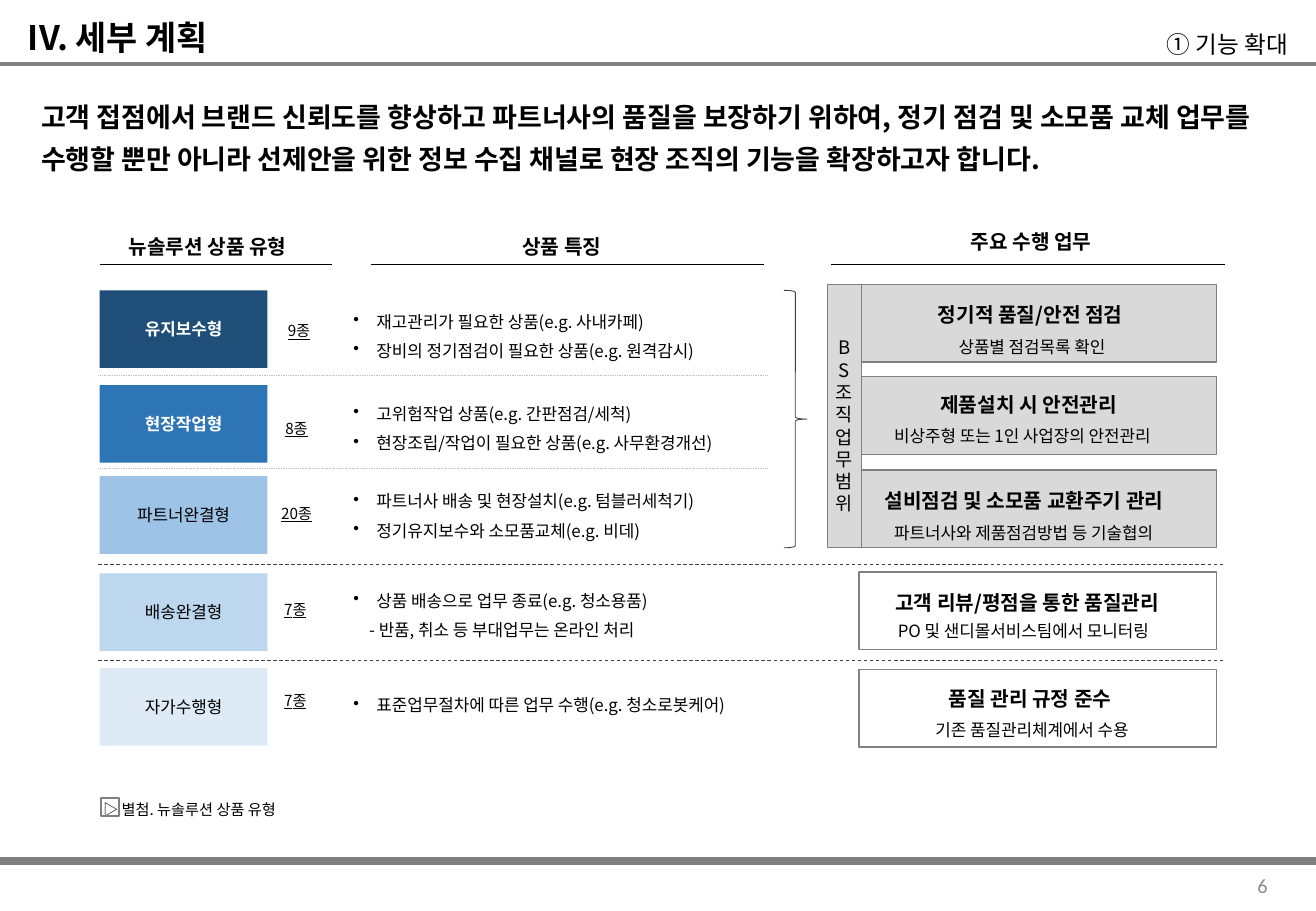
import pptx
import pptx.util
import pptx.dml.color
import pptx.enum.dml
import pptx.enum.shapes
import pptx.enum.text
import pptx.oxml.ns
import lxml.etree

SCALE = 9144
SANS = "Noto Sans CJK KR"
COLORS = {
    "black": "000000", "white": "FFFFFF", "rule": "808080", "card": "D9D9D9",
    "page": "8C8C8C", "dots": "BFBFBF", "dash": "404040",
    "navy": "1F4E79", "blue": "2E75B6", "sky": "9DC3E6", "pale": "BDD7EE", "ice": "DEEBF7",
}
ALIGN = pptx.enum.text.PP_ALIGN
ANCHOR = pptx.enum.text.MSO_ANCHOR
DASH = pptx.enum.dml.MSO_LINE
SHAPE = pptx.enum.shapes.MSO_SHAPE

PRODUCTS = [
    ("유지보수형", "navy", 239, "9종", (115, 21), 9,
     ["• 재고관리가 필요한 상품(e.g. 사내카페)", "• 장비의 정기점검이 필요한 상품(e.g. 원격감시)"]),
    ("현장작업형", "blue", 317, "8종", (113, 23), 7,
     ["• 고위험작업 상품(e.g. 간판점검/세척)", "• 현장조립/작업이 필요한 상품(e.g. 사무환경개선)"]),
    ("파트너완결형", "sky", 392, "20종", (113, 18), 4,
     ["• 파트너사 배송 및 현장설치(e.g. 텀블러세척기)", "• 정기유지보수와 소모품교체(e.g. 비데)"]),
    ("배송완결형", "pale", 472, "7종", (112, 17), 6,
     ["• 상품 배송으로 업무 종료(e.g. 청소용품)", "- 반품, 취소 등 부대업무는 온라인 처리"]),
    ("자가수행형", "ice", 550, "7종", (112, 14), 14,
     ["• 표준업무절차에 따른 업무 수행(e.g. 청소로봇케어)"]),
]
TASKS = [
    (234, "card", "정기적 품질/안전 점검", (55, 6, 202), "상품별 점검목록 확인", (72, 35, 194)),
    (310, "card", "제품설치 시 안전관리", (57, 4, 261), "비상주형 또는 1인 사업장의 안전관리", (19, 32, 259)),
    (387, "card", "설비점검 및 소모품 교환주기 관리", (11, 6, 291),
     "파트너사와 제품점검방법 등 기술협의", (19, 35, 259)),
    (471, "white", "고객 리뷰/평점을 통한 품질관리", (20, 6, 280),
     "PO 및 샌디몰서비스팀에서 모니터링", (22, 32, 259)),
    (551, "white", "품질 관리 규정 준수", (64, 5, 287), "기존 품질관리체계에서 수용", (53, 33, 247)),
]
HEADINGS = [
    ("뉴솔루션 상품 유형", (96, 184, 196, 32), (82, 273)),
    ("상품 특징", (420, 184, 211, 32), (305, 629)),
    ("주요 수행 업무", (789, 180, 211, 32), (684, 1008)),
]


def emu(*lengths):
    """Turn px lengths into EMU."""
    return [pptx.util.Emu(length * SCALE) for length in lengths]


def rgb(name):
    """Look up a named colour."""
    return pptx.dml.color.RGBColor.from_string(COLORS[name])


def add_span(para, words, size, color, bold, underline, font):
    """Append one formatted run to a paragraph."""
    span = para.add_run()
    span.text = words
    span.font.size = pptx.util.Pt(size)
    span.font.bold = bold
    span.font.underline = underline
    span.font.name = font
    span.font.color.rgb = rgb(color)
    east = lxml.etree.SubElement(span.font._element, pptx.oxml.ns.qn("a:ea"))
    east.set("typeface", font)


def fill_text(shape, lines, size, color="black", bold=False, underline=False,
              align=ALIGN.LEFT, anchor=ANCHOR.TOP, spacing=1.0, font=SANS):
    """Write lines into a shape; a leading mark sets the bullet or the indent."""
    frame = shape.text_frame
    frame.word_wrap = True
    frame.auto_size = pptx.enum.text.MSO_AUTO_SIZE.NONE
    frame.vertical_anchor = anchor
    for index, line in enumerate(lines):
        para = frame.add_paragraph() if index else frame.paragraphs[0]
        para.alignment = align
        para.line_spacing = spacing
        para.space_before = pptx.util.Pt(3 if index else 0)
        properties = para._p.get_or_add_pPr()
        if line.startswith("• "):
            line = line[2:]
            properties.set("marL", str(19 * SCALE))
            properties.set("indent", str(-19 * SCALE))
            lxml.etree.SubElement(properties, pptx.oxml.ns.qn("a:buChar")).set("char", "•")
        elif line.startswith("- "):
            properties.set("marL", str(13 * SCALE))
        for part, words in enumerate(line.split("\n")):
            if part:
                para.add_line_break()
            add_span(para, words, size, color, bold, underline, font)


def add_text(page, box, lines, size, **style):
    """Add a text box."""
    fill_text(page.shapes.add_textbox(*emu(*box)), lines, size, **style)


def add_block(page, box, fill=None, line=None, width=0.75, kind=SHAPE.RECTANGLE):
    """Add a flat preset shape."""
    shape = page.shapes.add_shape(kind, *emu(*box))
    shape.shadow.inherit = False
    if fill:
        shape.fill.solid()
        shape.fill.fore_color.rgb = rgb(fill)
    else:
        shape.fill.background()
    if line:
        shape.line.color.rgb = rgb(line)
        shape.line.width = pptx.util.Pt(width)
    else:
        shape.line.fill.background()
    return shape


def add_rule(page, left, right, top, color, width=0.5, dash=None):
    """Add a horizontal line."""
    rule = page.shapes.add_connector(
        pptx.enum.shapes.MSO_CONNECTOR.STRAIGHT, *emu(left, top, right, top))
    rule.line.color.rgb = rgb(color)
    rule.line.width = pptx.util.Pt(width)
    if dash:
        rule.line.dash_style = dash
    lxml.etree.SubElement(rule._element.spPr, pptx.oxml.ns.qn("a:effectLst"))


def add_header(page, box):
    """Place the title, the section label and the rule below them."""
    left, top, width, height = box
    title = page.shapes.title
    title.left, title.top, title.width, title.height = emu(left + 13, top + 2, 761, 47)
    fill_text(title, ["IV. 세부 계획"], 20, bold=True, spacing=1.2)
    add_text(page, (left + 725, top + 15, 345, 36), ["① 기능 확대"], 14,
             align=ALIGN.RIGHT, spacing=1.2)
    add_rule(page, left, left + width, top + height, "rule", 2.25)


def add_heading(page, box, words, span):
    """Place a column heading and its underline."""
    add_text(page, box, [words], 12, bold=True, spacing=1.2)
    add_rule(page, *span, 218, "black")


def add_product(page, box, name, color, count, count_shift, feature_shift, features):
    """Place one product type with its count and features."""
    left, top, width, height = box
    strong = color in ("navy", "blue")
    fill_text(add_block(page, box, color), [name], 10, color="white" if strong else "black",
              bold=strong, align=ALIGN.CENTER, anchor=ANCHOR.MIDDLE)
    add_text(page, (left + count_shift[0], top + count_shift[1], 98, 25), [count], 9,
             underline=True, align=ALIGN.CENTER)
    add_text(page, (left + width + 61, top + feature_shift, 364, 25 * len(features) + 3),
             features, 10, spacing=1.2)


def add_task(page, box, fill, name, name_place, detail, detail_place):
    """Place one task card with its name and detail."""
    left, top, width, height = box
    add_block(page, box, fill, "rule")
    for words, (shift, drop, wide), size, tall in (
            (name, name_place, 12, 32), (detail, detail_place, 10, 28)):
        add_text(page, (left + shift, top + drop, wide, tall), [words], size,
                 bold=size == 12, spacing=1.2)


def add_scope(page, box):
    """Place the brace and the upright bar naming the scope of work."""
    left, top, width, height = box
    add_block(page, (left, top + 5, 19, height - 5), line="dash", width=0.5,
              kind=SHAPE.RIGHT_BRACE)
    add_block(page, (left + 36, top, width - 36, height), "card", "rule")
    add_text(page, (left + 30, top + 38, 40, 177), ["B\nS조직업무범위"], 11, align=ALIGN.CENTER)


def add_footer(page, box):
    """Place the appendix mark, the bottom rule and the page number."""
    left, top, width, height = box
    add_text(page, (left + 75, top, 184, 27), ["▷ 별첨. 뉴솔루션 상품 유형"], 9, spacing=1.2)
    add_block(page, (left + 83, top + 6, 15, 15), line="rule", width=1)
    add_rule(page, left, left + width, top + 58, "rule", 4.5)
    add_text(page, (left + 809, top + 58, 244, 40), ["6"], 12, color="page",
             align=ALIGN.RIGHT, anchor=ANCHOR.MIDDLE, font="Calibri")


def main():
    """Build the slide and save it."""
    deck = pptx.Presentation()
    deck.slide_width, deck.slide_height = emu(1083, 750)
    page = deck.slides.add_slide(deck.slide_layouts[5])
    add_header(page, (0, 0, 1083, 53))
    add_text(page, (24, 70, 1036, 77), [
        "고객 접점에서 브랜드 신뢰도를 향상하고 파트너사의 품질을 보장하기 위하여, 정기 점검 및 소모품 교체 "
        "업무를 수행할 뿐만 아니라 선제안을 위한 정보 수집 채널로 현장 조직의 기능을 확장하고자 합니다."],
        16, bold=True, spacing=1.3)
    for words, box, span in HEADINGS:
        add_heading(page, box, words, span)
    for name, color, top, *details in PRODUCTS:
        add_product(page, (82, top, 138, 64), name, color, *details)
    for top, *details in TASKS:
        add_task(page, (707, top, 294, 64), *details)
    for top in (309, 386):
        add_rule(page, 81, 631, top, "dots", dash=DASH.ROUND_DOT)
    for top in (465, 544):
        add_rule(page, 81, 1007, top, "dash", dash=DASH.DASH)
    add_scope(page, (645, 234, 64, 217))
    add_footer(page, (0, 651, 1083, 99))
    deck.save("out.pptx")


if __name__ == "__main__":
    main()
